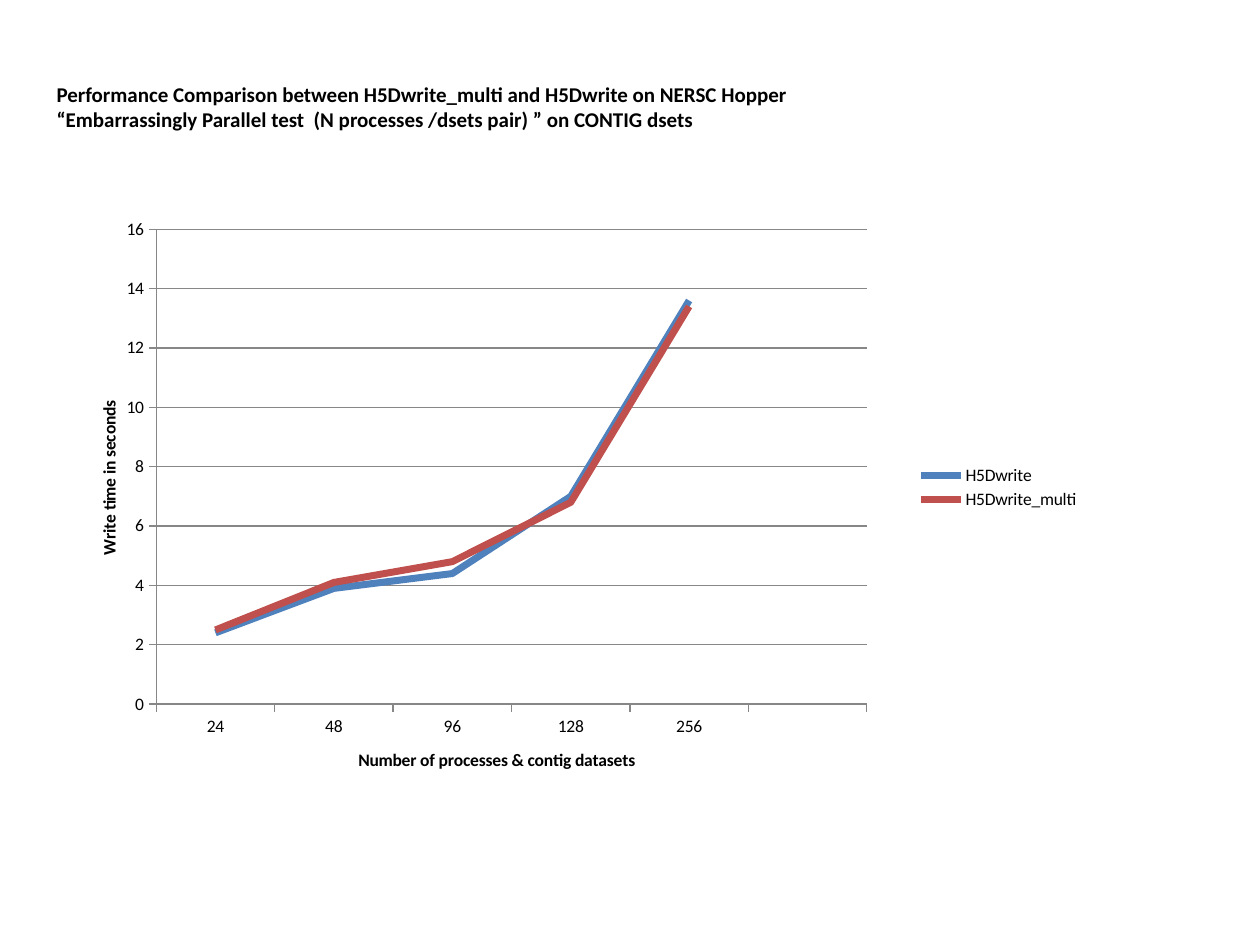
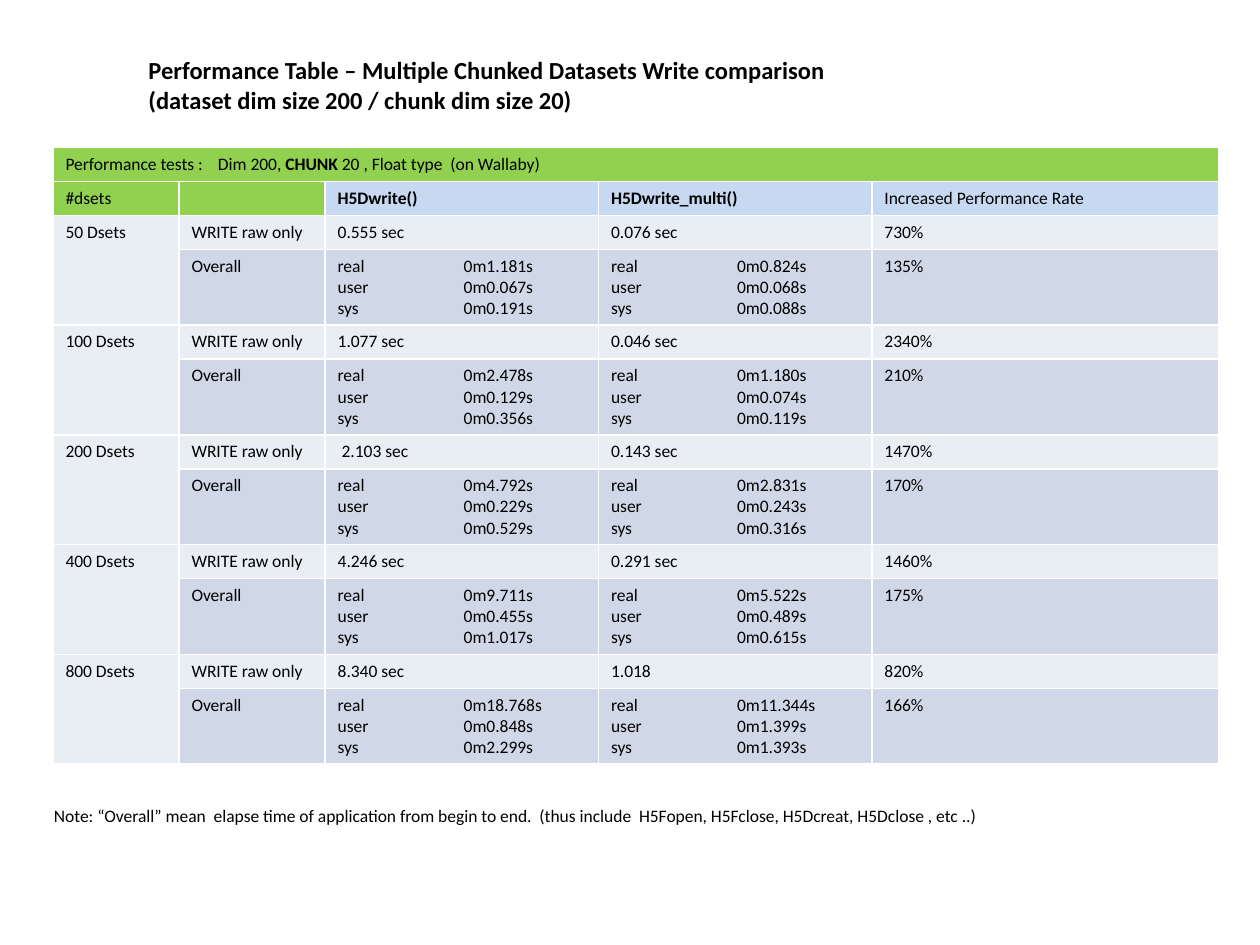
from lxml import etree
from pptx import Presentation
from pptx import util as u
from pptx.chart.data import CategoryChartData
from pptx.dml.color import RGBColor
from pptx.enum import chart as ch
from pptx.oxml import parse_xml
from pptx.oxml.ns import nsdecls, qn

FONT = "Calibri"
BLACK = RGBColor(0x00, 0x00, 0x00)
GRID_GRAY = RGBColor(0x87, 0x87, 0x87)
WRITE_BLUE = RGBColor(0x4F, 0x81, 0xBD)
MULTI_RED = RGBColor(0xC0, 0x50, 0x4D)
HEAD_GREEN = RGBColor(0x92, 0xD0, 0x50)
HEAD_BLUE = RGBColor(0xC6, 0xD9, 0xF1)
RAW_FILL = RGBColor(0xE9, 0xED, 0xF4)
OVERALL_FILL = RGBColor(0xD0, 0xD8, 0xE8)
BORDER = RGBColor(0xFF, 0xFF, 0xFF)

WRITE_TIMES = [
    ("H5Dwrite", (2.4, 3.9, 4.4, 7, 13.6, None), WRITE_BLUE),
    ("H5Dwrite_multi", (2.5, 4.1, 4.8, 6.8, 13.4, None), MULTI_RED),
]

# datasets, raw times, raw rate, (real, user, sys) per call, overall rate
RESULTS = [
    ("50", "0.555 sec", "0.076 sec", "730%",
     ("1.181", "0.067", "0.191"), ("0.824", "0.068", "0.088"), "135%"),
    ("100", "1.077 sec", "0.046 sec", "2340%",
     ("2.478", "0.129", "0.356"), ("1.180", "0.074", "0.119"), "210%"),
    ("200", " 2.103 sec", "0.143 sec", "1470%",
     ("4.792", "0.229", "0.529"), ("2.831", "0.243", "0.316"), "170%"),
    ("400", "4.246 sec", "0.291 sec", "1460%",
     ("9.711", "0.455", "1.017"), ("5.522", "0.489", "0.615"), "175%"),
    ("800", "8.340 sec", "1.018", "820%",
     ("18.768", "0.848", "2.299"), ("11.344", "1.399", "1.393"), "166%"),
]
COLUMN_WIDTHS = (1, 1.16, 2.17, 2.17, 2.75)
SINGLE_ROW, TRIPLE_ROW = 0.27, 0.6
TIME_TAB, HEADING_TAB = 1, 1.21


def style_font(font, size, bold=False):
    font.name, font.size, font.bold = FONT, u.Pt(size), bold
    font.color.rgb = BLACK


def write_text(frame, lines, size=10, bold=False, tab_stop=TIME_TAB):
    """Fill a frame, one paragraph per line; *stars* enclose bold words."""
    for i, line in enumerate(lines):
        para = frame.paragraphs[0] if i == 0 else frame.add_paragraph()
        if "\t" in line:
            tabs = etree.SubElement(para._p.get_or_add_pPr(), qn("a:tabLst"))
            etree.SubElement(tabs, qn("a:tab"), pos=str(u.Inches(tab_stop)), algn="l")
        for j, part in enumerate(line.split("*")):
            if part:
                run = para.add_run()
                run.text = part
                style_font(run.font, size, bold or j % 2 == 1)


def add_text(slide, box, lines, **text_format):
    frame = slide.shapes.add_textbox(*map(u.Inches, box)).text_frame
    frame.word_wrap = True
    write_text(frame, lines, **text_format)


def set_axis(axis, title):
    write_text(axis.axis_title.text_frame, [title], bold=True)
    axis.major_tick_mark = ch.XL_TICK_MARK.OUTSIDE
    axis.minor_tick_mark = ch.XL_TICK_MARK.NONE
    style_font(axis.tick_labels.font, 10)
    axis.format.line.color.rgb = GRID_GRAY
    axis.format.line.width = u.Pt(0.75)


def place_plot(chart, **fractions):
    """Fix the inner plot area as fractions of the chart's box."""
    plot_area = chart._chartSpace.chart.plotArea
    for old in plot_area.findall(qn("c:layout")):
        plot_area.remove(old)
    sizes = "".join(f'<c:{key} val="{val:.4f}"/>' for key, val in fractions.items())
    plot_area.insert(0, parse_xml(
        f'<c:layout {nsdecls("c")}><c:manualLayout><c:layoutTarget val="inner"/>'
        f'<c:xMode val="edge"/><c:yMode val="edge"/>{sizes}'
        '</c:manualLayout></c:layout>'))


def add_write_time_chart(slide, left, top, width, height):
    data = CategoryChartData()
    data.categories = ["24", "48", "96", "128", "256", ""]
    for name, seconds, _ in WRITE_TIMES:
        data.add_series(name, seconds)
    chart = slide.shapes.add_chart(
        ch.XL_CHART_TYPE.LINE, *map(u.Inches, (left, top, width, height)), data).chart
    style_font(chart.font, 10)
    chart.has_title = False
    chart.has_legend = True
    chart.legend.position = ch.XL_LEGEND_POSITION.RIGHT
    chart.legend.include_in_layout = False
    style_font(chart.legend.font, 10)

    set_axis(chart.category_axis, "Number of processes & contig datasets")
    seconds_axis = chart.value_axis
    set_axis(seconds_axis, "Write time in seconds")
    seconds_axis.minimum_scale, seconds_axis.maximum_scale = 0, 16
    seconds_axis.major_unit = 2
    seconds_axis.has_major_gridlines = True
    grid = seconds_axis.major_gridlines.format.line
    grid.color.rgb, grid.width = GRID_GRAY, u.Pt(0.75)

    chart.plots[0].vary_by_categories = False
    for series, (_, _, color) in zip(chart.plots[0].series, WRITE_TIMES):
        series.smooth = False
        series.marker.style = ch.XL_MARKER_STYLE.NONE
        series.format.line.color.rgb = color
        series.format.line.width = u.Pt(4)
    place_plot(chart, x=0.49 / width, y=0.24 / height, w=5.64 / width, h=3.77 / height)


def format_cell(cell, fill):
    cell.fill.solid()
    cell.fill.fore_color.rgb = fill
    props = cell._tc.get_or_add_tcPr()
    for i, side in enumerate("LRTB"):
        props.insert(i, parse_xml(
            f'<a:ln{side} {nsdecls("a")} w="{u.Pt(1)}"><a:solidFill>'
            f'<a:srgbClr val="{BORDER}"/></a:solidFill></a:ln{side}>'))


def timing_lines(times):
    return [f"{kind}\t0m{time}s" for kind, time in zip(("real", "user", "sys"), times)]


def fill_row(table, row, fills, contents):
    for col, (fill, lines) in enumerate(zip(fills, contents)):
        cell = table.cell(row, col)
        format_cell(cell, fill)
        write_text(cell.text_frame, lines, tab_stop=TIME_TAB if row else HEADING_TAB)
        if not lines:  # keeps an empty cell from growing its row
            etree.SubElement(cell.text_frame.paragraphs[0]._p,
                             qn("a:endParaRPr"), sz="1000")


def add_results_table(slide, left, top):
    heights = [SINGLE_ROW] * 2 + [SINGLE_ROW, TRIPLE_ROW] * len(RESULTS)
    table = slide.shapes.add_table(
        len(heights), len(COLUMN_WIDTHS), u.Inches(left), u.Inches(top),
        u.Inches(sum(COLUMN_WIDTHS)), u.Inches(sum(heights))).table
    for column, width in zip(table.columns, COLUMN_WIDTHS):
        column.width = u.Inches(width)
    for row, height in zip(table.rows, heights):
        row.height = u.Inches(height)

    fill_row(table, 0, [HEAD_GREEN] * 5,
             [["Performance tests :\tDim 200, *CHUNK* 20 , Float type  (on Wallaby)"]]
             + [[]] * 4)
    table.cell(0, 0).merge(table.cell(0, 4))
    fill_row(table, 1, [HEAD_GREEN] * 2 + [HEAD_BLUE] * 3,
             [["#dsets"], [], ["*H5Dwrite()*"], ["*H5Dwrite_multi()*"],
              ["Increased Performance Rate"]])

    for i, (count, raw, raw_multi, raw_rate, total, total_multi, rate) in enumerate(RESULTS):
        row = 2 + 2 * i
        fill_row(table, row, [RAW_FILL] * 5,
                 [[f"{count} Dsets"], ["WRITE raw only"], [raw], [raw_multi], [raw_rate]])
        fill_row(table, row + 1, [RAW_FILL] + [OVERALL_FILL] * 4,
                 [[], ["Overall"], timing_lines(total), timing_lines(total_multi), [rate]])
        table.cell(row, 0).merge(table.cell(row + 1, 0))


def build_chart_slide(slide):
    add_text(slide, (0.35, 0.6, 9.09, 0.5),
             ["Performance Comparison between H5Dwrite_multi and H5Dwrite on NERSC Hopper",
              "“Embarrassingly Parallel test  (N processes /dsets pair) ” on CONTIG dsets"],
             size=12, bold=True)
    add_write_time_chart(slide, 0.75, 1.58, 7.92, 4.58)


def build_table_slide(slide):
    add_results_table(slide, 0.42, 1.17)
    add_text(slide, (1.08, 0.39, 6, 0.57),
             ["Performance Table – Multiple Chunked Datasets Write comparison",
              "(dataset dim size 200 / chunk dim size 20)"],
             size=14, bold=True)
    add_text(slide, (0.33, 6.34, 9.09, 0.27),
             ["Note: “Overall” mean  elapse time of application from begin to end.  "
              "(thus include  H5Fopen, H5Fclose, H5Dcreat, H5Dclose , etc ..)"])


def main():
    deck = Presentation()
    deck.slide_width, deck.slide_height = u.Inches(10), u.Inches(7.5)
    for build in (build_chart_slide, build_table_slide):
        build(deck.slides.add_slide(deck.slide_layouts[6]))
    deck.save("out.pptx")


if __name__ == "__main__":
    main()
